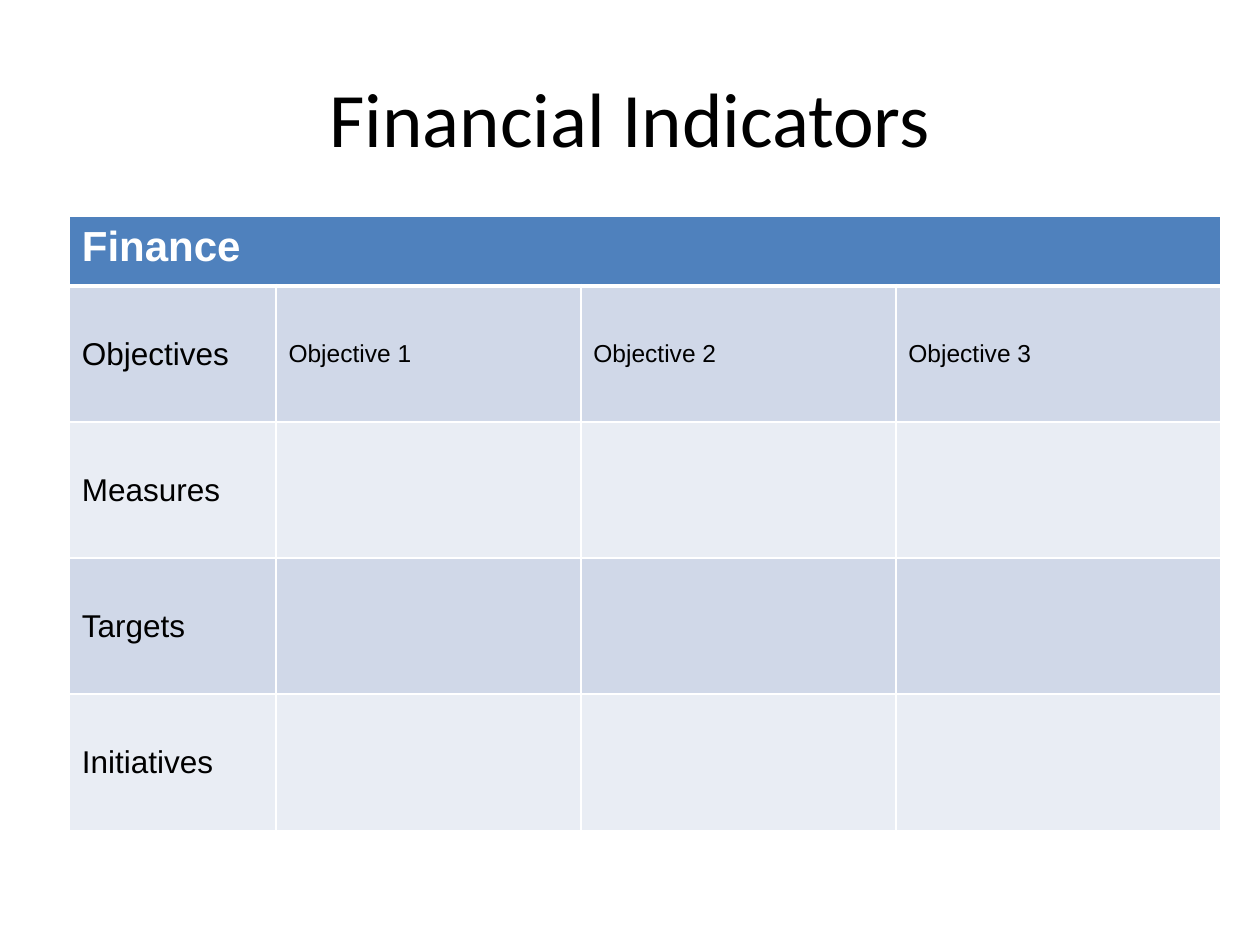
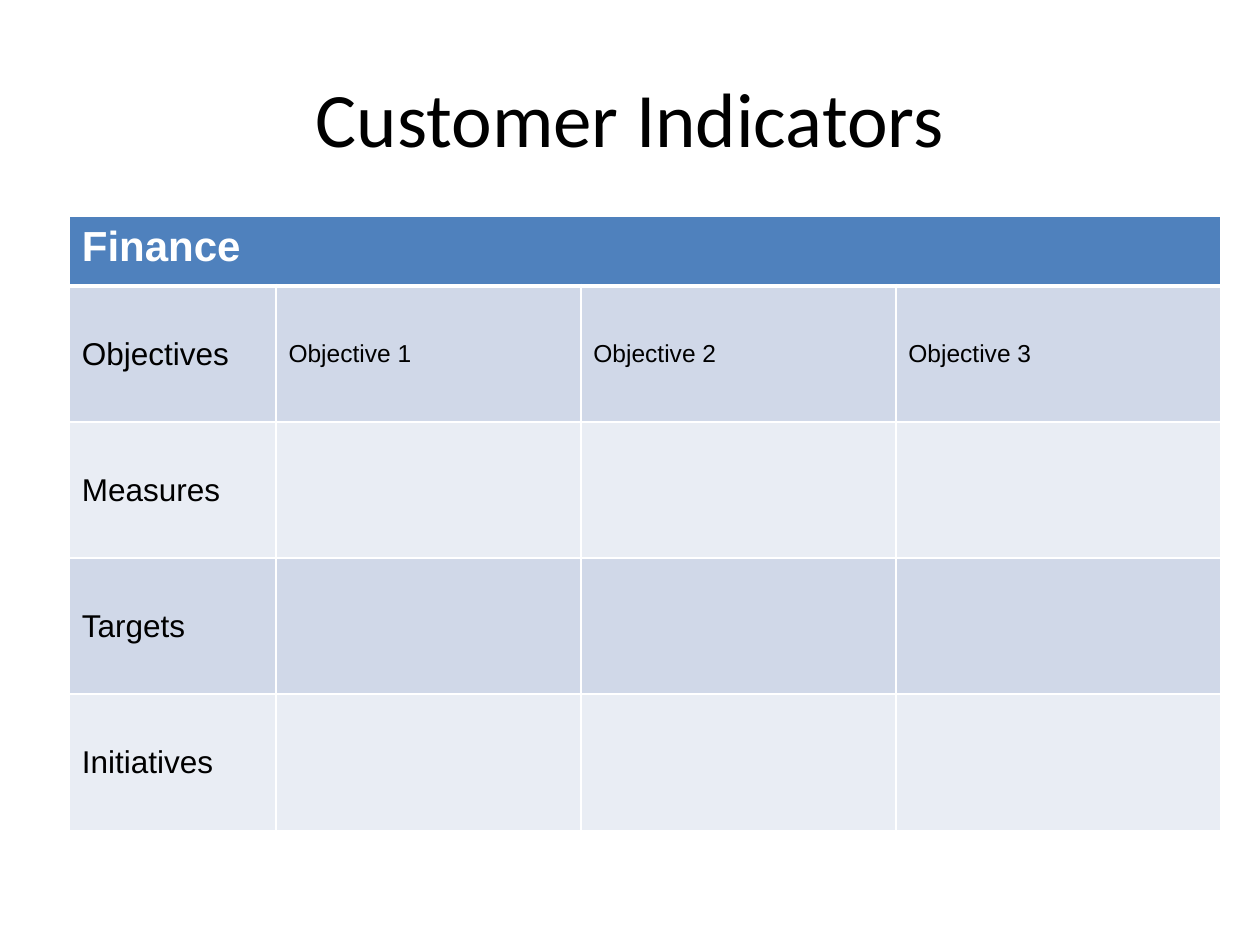
"""Build two indicator slides, each with a title and a scorecard table."""
from lxml.etree import SubElement
from pptx import Presentation
from pptx.dml.color import RGBColor
from pptx.enum.text import MSO_ANCHOR as Anchor, PP_ALIGN as Align
from pptx.oxml.ns import qn
from pptx.util import Inches, Pt

BLUE, WHITE, BLACK = "4F81BD", "FFFFFF", "000000"
BANDS = ["E9EDF4", "D0D8E8"]
TITLES = ["Financial Indicators", "Customer Indicators"]
ROWS = [
    ["Finance", "", "", ""],
    ["Objectives", "Objective 1", "Objective 2", "Objective 3"],
    ["Measures", "", "", ""],
    ["Targets", "", "", ""],
    ["Initiatives", "", "", ""],
]
WIDTHS = [1.64, 2.42, 2.5, 2.58]
HEIGHTS = [0.55] + [1.08] * 4


def style(text, face, size, color, bold=False):
    for run in text.paragraphs[0].runs:
        font = run.font
        font.name, font.size, font.bold = face, Pt(size), bold
        font.color.rgb = RGBColor.from_string(color)


def edge(cell, side, width):
    line = SubElement(cell._tc.get_or_add_tcPr(), qn(f"a:ln{side}"), w=str(Pt(width)))
    fill = SubElement(line, qn("a:solidFill"))
    SubElement(fill, qn("a:srgbClr"), val=WHITE)


deck = Presentation()
deck.slide_width, deck.slide_height = Inches(10), Inches(7.5)

for name in TITLES:
    slide = deck.slides.add_slide(deck.slide_layouts[5])
    title = slide.shapes.title
    title.left, title.top = Inches(0.5), Inches(0.3)
    title.width, title.height = Inches(9), Inches(1.25)
    text = title.text_frame
    text.text = name
    text.vertical_anchor = Anchor.MIDDLE
    text.paragraphs[0].alignment = Align.CENTER
    style(text, "Calibri", 44, BLACK)

    table = slide.shapes.add_table(
        len(ROWS), len(WIDTHS), Inches(0.55), Inches(1.72),
        Inches(sum(WIDTHS)), Inches(sum(HEIGHTS))).table
    for col, width in zip(table.columns, WIDTHS):
        col.width = Inches(width)
    for row, height in zip(table.rows, HEIGHTS):
        row.height = Inches(height)
    table.cell(0, 0).merge(table.cell(0, len(WIDTHS) - 1))

    for r, words in enumerate(ROWS):
        head = r == 0
        for c, word in enumerate(words):
            cell = table.cell(r, c)
            for side in "LRTB":
                thick = (r, side) in [(0, "B"), (1, "T")]
                edge(cell, side, 3 if thick else 1)
            cell.fill.solid()
            cell.fill.fore_color.rgb = RGBColor.from_string(BLUE if head else BANDS[r % 2])
            cell.vertical_anchor = Anchor.TOP if head else Anchor.MIDDLE
            if word:
                cell.text_frame.text = word
                size = 24 if head else 14 if c else 18
                style(cell.text_frame, "Arial", size, WHITE if head else BLACK, head)

deck.save("out.pptx")
